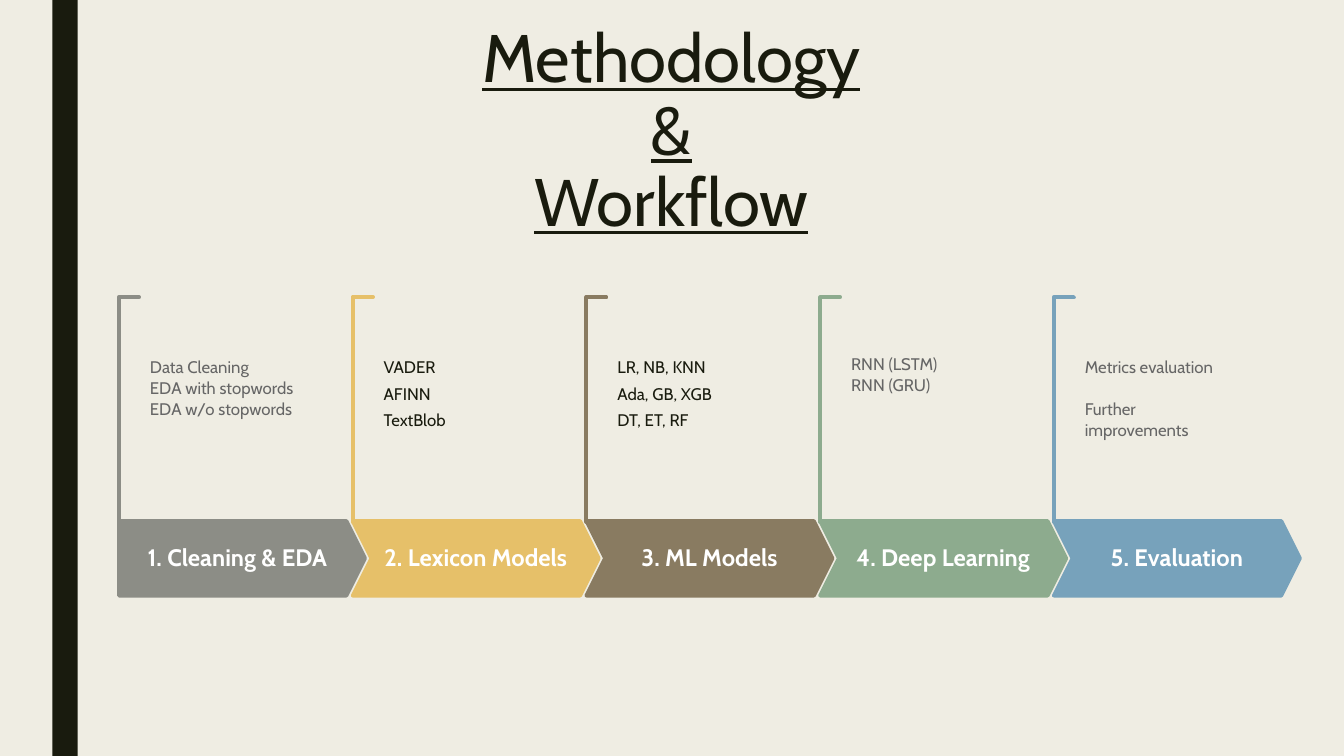
from pptx import Presentation
from pptx import util as u
from pptx.dml import color
from pptx.enum import shapes, text

INK, GREY, WHITE = "191B0E", "666666", "FFFFFF"
KINDS = shapes.MSO_SHAPE
MIDDLE = text.MSO_ANCHOR.MIDDLE
CENTER = text.PP_ALIGN.CENTER


def rgb(code):
    return color.RGBColor.from_string(code)


def apply(target, values):
    for name, value in values.items():
        setattr(target, name, value)


class Deck:
    font = "Cabin"
    stroke = u.Pt(2.75)

    def __init__(self, paper):
        self.show = Presentation()
        self.show.slide_width = u.Cm(33.87)
        self.show.slide_height = u.Cm(19.05)
        self.slide = self.show.slides.add_slide(self.show.slide_layouts[6])
        fill = self.slide.background.fill
        fill.solid()
        fill.fore_color.rgb = rgb(paper)

    def shape(self, kind, box, fill, line=None, turn=0, adjust=()):
        item = self.slide.shapes.add_shape(kind, *map(u.Cm, box))
        item.shadow.inherit = False
        item.rotation = turn
        for index, value in enumerate(adjust):
            item.adjustments[index] = value
        item.fill.solid()
        item.fill.fore_color.rgb = rgb(fill)
        if line:
            item.line.color.rgb = rgb(line)
            item.line.width = self.stroke
        else:
            item.line.fill.background()

    def text(self, box, lines, tint, font, para, inset=(), anchor=None):
        frame = self.slide.shapes.add_textbox(*map(u.Cm, box)).text_frame
        apply(frame, {"word_wrap": True, "vertical_anchor": anchor})
        sides = ("margin_left", "margin_top", "margin_right", "margin_bottom")
        apply(frame, dict(zip(sides, map(u.Cm, inset))))
        for index, words in enumerate(lines):
            item = frame.add_paragraph() if index else frame.paragraphs[0]
            apply(item, para)
            if index:
                item.space_before = para.get("space_before")
            else:
                item.space_before = u.Pt(0)
            run = item.add_run()
            run.text = words
            apply(run.font, {"name": self.font, **font})
            run.font.color.rgb = rgb(tint)


# Steps: label, colour, text colour, gap after, gap before, details
STEPS = [
    ("1. Cleaning & EDA", "8C8D86", GREY, 0, 0,
     ["Data Cleaning", "EDA with stopwords", "EDA w/o stopwords"]),
    ("2. Lexicon Models", "E6C069", INK, 4.2, 0,
     ["VADER", "AFINN", "TextBlob"]),
    ("3. ML Models", "897B61", INK, 4.2, 0,
     ["LR, NB, KNN", "Ada, GB, XGB", "DT, ET, RF"]),
    ("4. Deep Learning", "8DAB8E", GREY, 0, 0,
     ["RNN (LSTM)", "RNN (GRU)"]),
    ("5. Evaluation", "77A2BB", GREY, 0, 15,
     ["Metrics evaluation", "Further improvements"]),
]
LEFT, STEP = 3, 5.89
TOP, WIDE, HIGH = 13.13, 6.2, 1.88


def main():
    deck = Deck("EFEDE3")

    # Side bar
    deck.shape(KINDS.RECTANGLE, (1.32, 0, 0.64, 19.05), INK)

    # Workflow
    for index, (label, tint, ink, after, before, lines) in enumerate(STEPS):
        left = LEFT + index * STEP
        # Bracket
        deck.shape(KINDS.CORNER, (left - 2.58, 10.06, 5.66, 0.51), WHITE,
                   tint, 90, (0.01, 0.01))
        # Arrow and its label
        kind = KINDS.CHEVRON if index else KINDS.PENTAGON
        deck.shape(kind, (left, TOP, WIDE, HIGH), tint, tint, 0, (0.25,))
        shift, room = (0.47, 5.26) if index else (0, 5.97)
        deck.text((left + shift, TOP, room, HIGH), [label], WHITE,
                  {"size": u.Pt(17), "bold": True},
                  {"alignment": CENTER, "line_spacing": 0.9,
                   "space_after": u.Pt(6)},
                  (0.3, 0.61, 0.3, 0.61), MIDDLE)
        # Details
        deck.text((left + 0.48, 7.77, 5.03, 3.94), lines, ink,
                  {"size": u.Pt(12)},
                  {"line_spacing": u.Pt(15), "space_after": u.Pt(after),
                   "space_before": u.Pt(before)},
                  (0.3, 1.19, 0.79, 0))

    # Title
    deck.text((5.31, 0.51, 23.22, 6.25), ["Methodology", "&", "Workflow"],
              INK, {"size": u.Pt(48), "underline": True},
              {"alignment": CENTER, "line_spacing": 0.89})

    deck.show.save("out.pptx")


if __name__ == "__main__":
    main()
